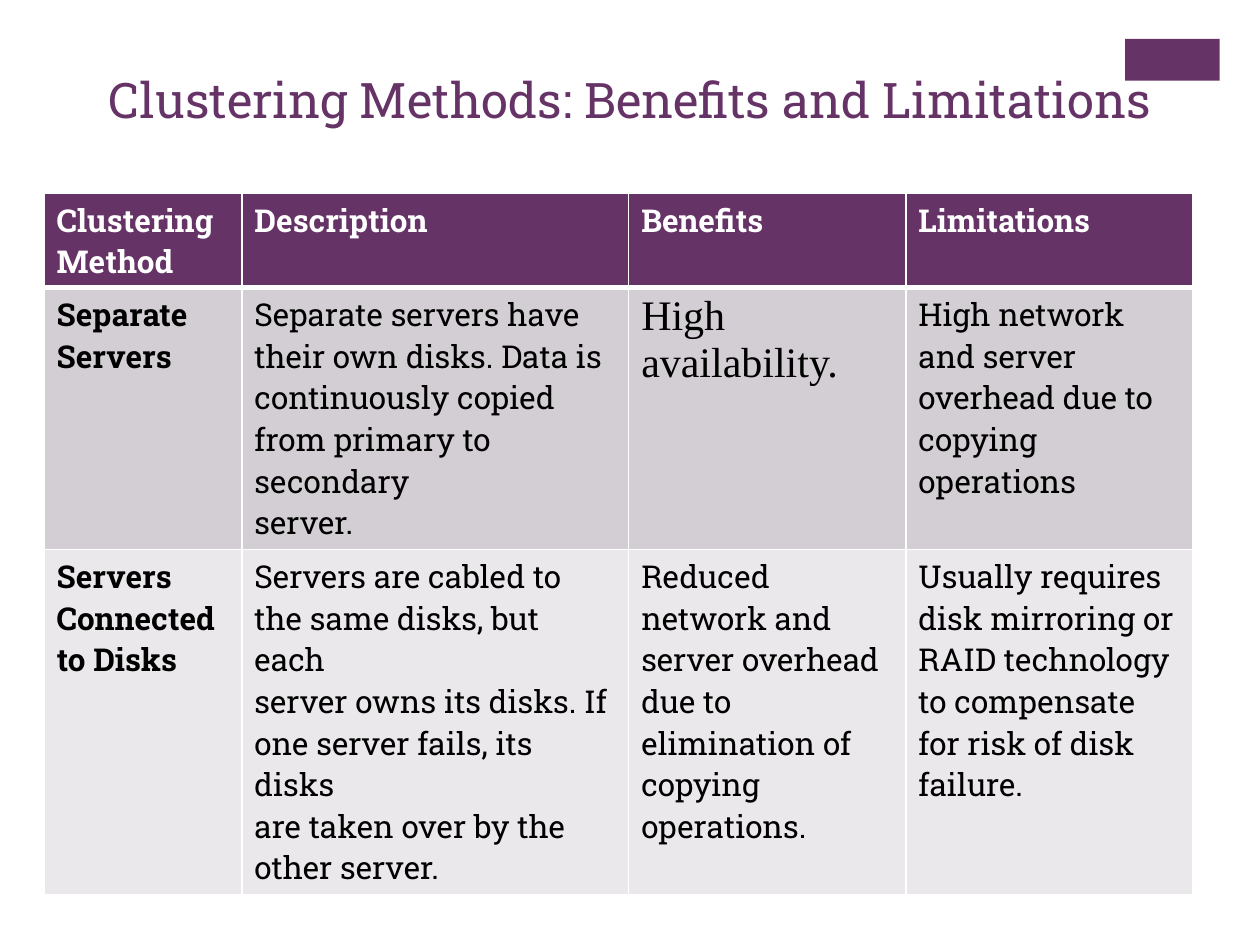
from lxml import etree
from pptx import Presentation
from pptx.dml.color import RGBColor
from pptx.enum.shapes import MSO_SHAPE as Shape
from pptx.enum.text import MSO_ANCHOR as Anchor, PP_ALIGN as Align
from pptx.oxml.ns import qn
from pptx.util import Inches, Pt

PURPLE = RGBColor(0x66, 0x33, 0x66)
MAUVE = RGBColor(0xD3, 0xCE, 0xD3)
PALE = RGBColor(0xEA, 0xE8, 0xEA)
WHITE = RGBColor(0xFF, 0xFF, 0xFF)
BLACK = RGBColor(0, 0, 0)
SLAB, SERIF = "Roboto Slab", "Times New Roman"

# Content: one tuple per table row, line feeds separate paragraphs
TITLE = "Clustering Methods: Benefits and Limitations"
ROWS = [
    ("Clustering Method", "Description", "Benefits", "Limitations"),
    ("Separate Servers",
     "Separate servers have\ntheir own disks. Data is\n"
     "continuously copied from primary to secondary\nserver.",
     "High availability.",
     "High network and server overhead due to copying\noperations"),
    ("Servers Connected\nto Disks",
     "Servers are cabled to\nthe same disks, but each\nserver owns its disks. If\n"
     "one server fails, its disks\nare taken over by the\nother server.",
     "Reduced network and\nserver overhead due to\nelimination of copying\noperations.",
     "Usually requires disk mirroring or RAID technology to compensate "
     "for risk of disk failure."),
]
ROW_FILLS = [PURPLE, MAUVE, PALE]
COLUMN_WIDTHS = [1.57, 3.07, 2.2, 2.28]
ROW_HEIGHTS = [0.75, 2.08, 2.74]
SPECIAL_FONTS = {(1, 2): (SERIF, 24)}


def style_text(frame, font_name, size, color, bold=False):
    for para in frame.paragraphs:
        for span in para.runs:
            font = span.font
            font.name, font.size, font.bold = font_name, Pt(size), bold
            font.color.rgb = color


def set_borders(cell, bottom_width):
    properties = cell._tc.get_or_add_tcPr()
    widths = {"lnL": 1, "lnR": 1, "lnT": 1, "lnB": bottom_width}
    for position, (side, width) in enumerate(widths.items()):
        line = etree.Element(qn(f"a:{side}"), w=str(Pt(width)))
        fill = etree.SubElement(line, qn("a:solidFill"))
        etree.SubElement(fill, qn("a:srgbClr"), val=str(WHITE))
        properties.insert(position, line)


deck = Presentation()
deck.slide_width, deck.slide_height = Inches(10), Inches(7.5)
page = deck.slides.add_slide(deck.slide_layouts[6])

# Corner accent
accent = page.shapes.add_shape(
    Shape.RECTANGLE, Inches(8.93), Inches(0.31), Inches(0.75), Inches(0.33))
accent.shadow.inherit = False
accent.fill.solid()
accent.fill.fore_color.rgb = PURPLE
accent.line.fill.background()

# Title
title_box = page.shapes.add_textbox(0, 0, deck.slide_width, Inches(1.22))
title = title_box.text_frame
title.word_wrap = True
title.vertical_anchor = Anchor.BOTTOM
title.margin_bottom = Inches(0.2)
title.text = TITLE
title.paragraphs[0].alignment = Align.CENTER
style_text(title, SLAB, 28, PURPLE)

# Comparison table
table = page.shapes.add_table(
    len(ROWS), len(COLUMN_WIDTHS), Inches(0.35), Inches(1.53),
    Inches(sum(COLUMN_WIDTHS)), Inches(sum(ROW_HEIGHTS))).table
for column, width in zip(table.columns, COLUMN_WIDTHS):
    column.width = Inches(width)
for row, height in zip(table.rows, ROW_HEIGHTS):
    row.height = Inches(height)

for r, texts in enumerate(ROWS):
    is_header = r == 0
    for c, text in enumerate(texts):
        cell = table.cell(r, c)
        cell.text_frame.text = text
        font_name, size = SPECIAL_FONTS.get((r, c), (SLAB, 18))
        style_text(cell.text_frame, font_name, size,
                   WHITE if is_header else BLACK, bold=is_header or c == 0)
        cell.fill.solid()
        cell.fill.fore_color.rgb = ROW_FILLS[r]
        set_borders(cell, 3 if is_header else 1)

deck.save("out.pptx")
